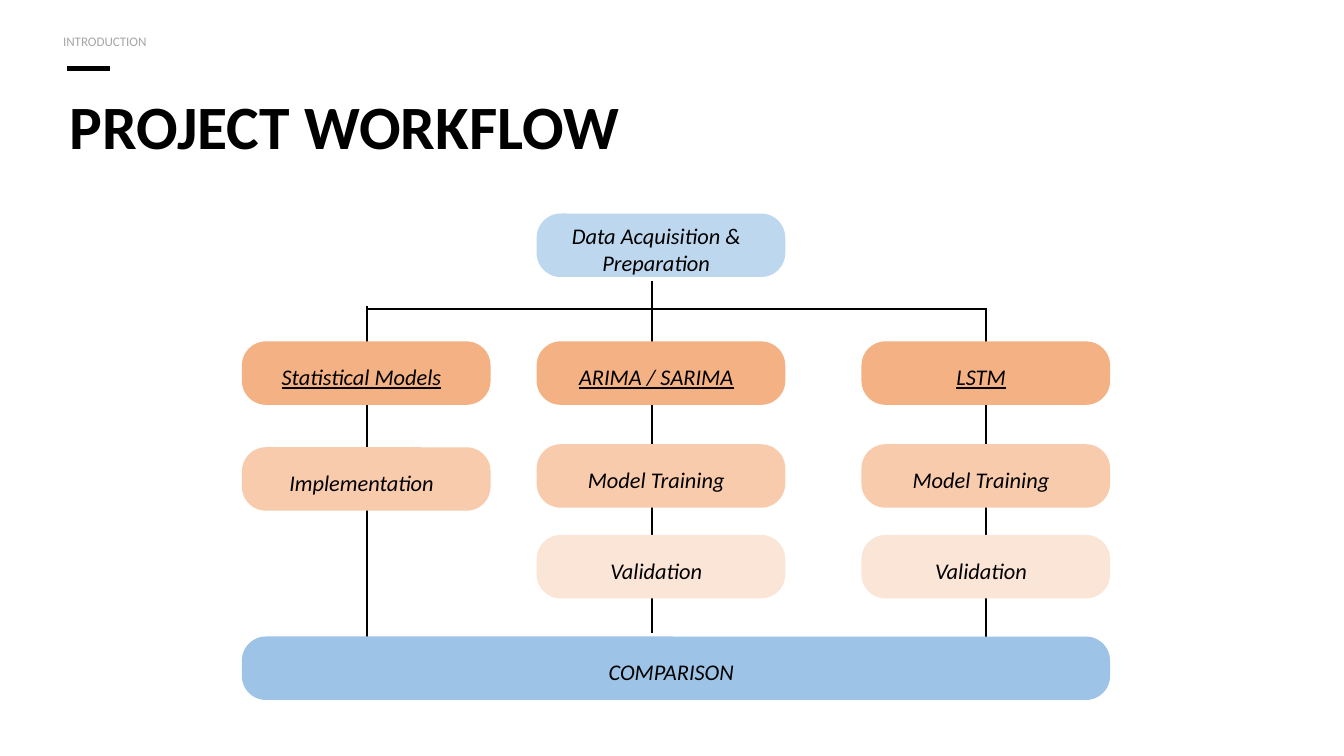
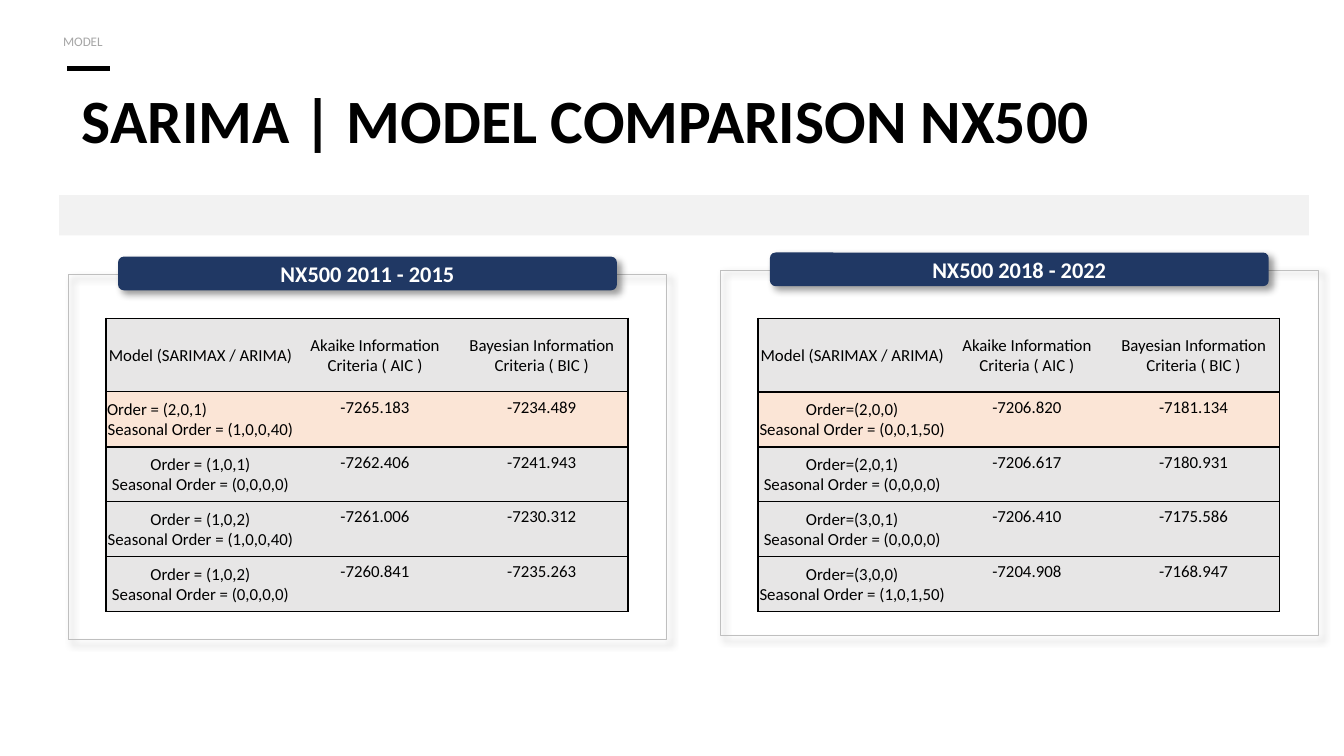
from dataclasses import dataclass

from lxml.etree import SubElement
from pptx import Presentation
from pptx.dml.color import RGBColor as Rgb
from pptx.enum.shapes import MSO_CONNECTOR as Link, MSO_SHAPE as Shape
from pptx.enum.text import MSO_ANCHOR as Anchor, MSO_AUTO_SIZE as AutoSize, PP_ALIGN as Align
from pptx.oxml.ns import qn
from pptx.util import Pt


@dataclass(frozen=True)
class Theme:
    font: str = "Calibri"
    ink: str = "000000"
    muted: str = "A6A6A6"
    white: str = "FFFFFF"
    source: str = "BDD7EE"
    family: str = "F4B183"
    step: str = "F8CBAD"
    check: str = "FBE5D6"
    result: str = "9DC3E6"
    band: str = "F2F2F2"
    frame: str = "BFBFBF"
    navy: str = "203864"
    cell: str = "E7E6E6"
    title_size: float = 33
    label_size: float = 12
    table_size: float = 9
    section_size: float = 7


THEME = Theme()

WORKFLOW = {
    "section": "INTRODUCTION",
    "title": "PROJECT WORKFLOW",
    "title_at": (30, 53.3, 664, 65),
}
START = ["Data Acquisition &", "Preparation"]
FINISH = ["COMPARISON"]
BRANCHES = [
    {"left": 129.6, "axis": 196.5, "span": (164.2, 345.6),
     "cards": [("Statistical Models", 182.9, THEME.family), ("Implementation", 239.6, THEME.step)]},
    {"left": 287.5, "axis": 349.2, "span": (150.5, 339),
     "cards": [("ARIMA / SARIMA", 182.9, THEME.family), ("Model Training", 238, THEME.step),
               ("Validation", 286.6, THEME.check)]},
    {"left": 461.5, "axis": 528.2, "span": (164.9, 345.6),
     "cards": [("LSTM", 182.9, THEME.family), ("Model Training", 238, THEME.step),
               ("Validation", 286.6, THEME.check)]},
]
CARD_WIDTH, CARD_HEIGHT = 133.2, 34
START_TOP, CROSSBAR_Y, FINISH_TOP = 114.4, 165.6, 341

COMPARISON = {
    "section": "MODEL",
    "title": "SARIMA | MODEL COMPARISON NX500",
    "title_at": (36.7, 49.7, 664, 36),
}
HEADINGS = ["Model (SARIMAX / ARIMA)", "Akaike Information Criteria ( AIC )",
            "Bayesian Information Criteria ( BIC )"]
PERIODS = [
    {"name": "NX500 2011 - 2015", "top": 146.9, "header_rule": 0.5, "best_align": Align.LEFT,
     "models": [
         ("Order = (2,0,1)", "Seasonal Order = (1,0,0,40)", "-7265.183", "-7234.489"),
         ("Order = (1,0,1)", "Seasonal Order = (0,0,0,0)", "-7262.406", "-7241.943"),
         ("Order = (1,0,2)", "Seasonal Order = (1,0,0,40)", "-7261.006", "-7230.312"),
         ("Order = (1,0,2)", "Seasonal Order = (0,0,0,0)", "-7260.841", "-7235.263"),
     ]},
    {"name": "NX500 2018 - 2022", "top": 144.7, "header_rule": 1, "best_align": Align.CENTER,
     "models": [
         ("Order=(2,0,0)", "Seasonal Order = (0,0,1,50)", "-7206.820", "-7181.134"),
         ("Order=(2,0,1)", "Seasonal Order = (0,0,0,0)", "-7206.617", "-7180.931"),
         ("Order=(3,0,1)", "Seasonal Order = (0,0,0,0)", "-7206.410", "-7175.586"),
         ("Order=(3,0,0)", "Seasonal Order = (1,0,1,50)", "-7204.908", "-7168.947"),
     ]},
]
PANEL_LEFT, PANEL_PITCH = 36.7, 349.2
COLUMN_WIDTHS = [100.8, 86.4, 92.2]
HEADER_HEIGHT, MODEL_HEIGHT = 39.4, 29.4


def points(values):
    return [Pt(value) for value in values]


def color(code):
    return Rgb.from_string(code)


def write(frame, lines, size, ink, align=Align.CENTER, **style):
    for index, line in enumerate(lines):
        para = frame.paragraphs[0] if index == 0 else frame.add_paragraph()
        para.alignment = align
        span = para.add_run()
        span.text = line
        font = span.font
        font.name, font.size = THEME.font, Pt(size)
        font.color.rgb = color(ink)
        for name, value in style.items():
            setattr(font, name, value)


def set_margins(target, left, top, right, bottom):
    target.margin_left, target.margin_top = Pt(left), Pt(top)
    target.margin_right, target.margin_bottom = Pt(right), Pt(bottom)


def add_line(page, start, end, width):
    line = page.shapes.add_connector(Link.STRAIGHT, *points(start + end))
    line.line.color.rgb = color(THEME.ink)
    line.line.width = Pt(width)
    SubElement(line._element.spPr, qn("a:effectLst"))


def add_block(page, kind, at, fill=None, outline=None):
    block = page.shapes.add_shape(kind, *points(at))
    block.shadow.inherit = False
    if fill:
        block.fill.solid()
        block.fill.fore_color.rgb = color(fill)
    else:
        block.fill.background()
    if outline:
        block.line.color.rgb = color(outline)
        block.line.width = Pt(0.5)
    else:
        block.line.fill.background()
    return block


def cast_shadow(block):
    effects = block._element.spPr.find(qn("a:effectLst"))
    shadow = SubElement(effects, qn("a:outerShdw"), blurRad=str(Pt(4)), dist=str(Pt(3)),
                        dir="2700000", algn="tl", rotWithShape="0")
    tint = SubElement(shadow, qn("a:srgbClr"), val=THEME.ink)
    SubElement(tint, qn("a:alpha"), val="40000")


def add_page(deck, content):
    page = deck.slides.add_slide(deck.slide_layouts[5])
    add_line(page, (36, 36.7), (59, 36.7), 2.25)
    title = page.shapes.title
    title.left, title.top, title.width, title.height = points(content["title_at"])
    frame = title.text_frame
    frame.auto_size, frame.word_wrap = AutoSize.NONE, True
    frame.vertical_anchor = Anchor.TOP
    set_margins(frame, 7.2, 3.6, 7.2, 3.6)
    write(frame, [content["title"]], THEME.title_size, THEME.ink, Align.LEFT, bold=True)
    frame.paragraphs[0].line_spacing = Pt(30)
    frame.paragraphs[0].space_before = Pt(0)

    section = page.shapes.add_textbox(*points((30.2, 13, 325.4, 16.6))).text_frame
    section.word_wrap = True
    set_margins(section, 3.6, 3.6, 3.6, 3.6)
    write(section, [content["section"]], THEME.section_size, THEME.muted, Align.LEFT)
    section.paragraphs[0].line_spacing = Pt(10)
    return page


def add_card(page, lines, left, top, fill, width=CARD_WIDTH, underline=False):
    card = add_block(page, Shape.ROUNDED_RECTANGLE, (left, top, width, CARD_HEIGHT), fill)
    card.adjustments[0] = 0.38
    frame = card.text_frame
    frame.word_wrap = True
    frame.vertical_anchor = Anchor.MIDDLE
    set_margins(frame, 0, 4, 5, 0)
    write(frame, lines, THEME.label_size, THEME.ink, italic=True, underline=underline)


def build_workflow(deck):
    page = add_page(deck, WORKFLOW)
    first, middle, last = BRANCHES
    for branch in BRANCHES:
        top, bottom = branch["span"]
        add_line(page, (branch["axis"], top), (branch["axis"], bottom), 1)
    add_line(page, (first["axis"], CROSSBAR_Y), (last["axis"], CROSSBAR_Y), 1)
    add_card(page, START, middle["left"], START_TOP, THEME.source)
    for branch in BRANCHES:
        for label, top, fill in branch["cards"]:
            add_card(page, [label], branch["left"], top, fill, underline=fill == THEME.family)
    full_width = last["left"] + CARD_WIDTH - first["left"]
    add_card(page, FINISH, first["left"], FINISH_TOP, THEME.result, full_width)


def set_borders(cell, **widths):
    properties = cell._tc.get_or_add_tcPr()
    for side in "LRTB":
        width = widths.get(side, 0)
        border = SubElement(properties, qn(f"a:ln{side}"), w=str(Pt(width)))
        if width:
            SubElement(SubElement(border, qn("a:solidFill")), qn("a:srgbClr"), val=THEME.ink)
        else:
            SubElement(border, qn("a:noFill"))


def add_scores(page, period, left):
    models = period["models"]
    rows = [[[heading] for heading in HEADINGS]]
    rows += [[[order, seasonal], [aic], [bic]] for order, seasonal, aic, bic in models]
    heights = [HEADER_HEIGHT] + [MODEL_HEIGHT] * len(models)
    at = (left, 170.6, sum(COLUMN_WIDTHS), sum(heights))
    table = page.shapes.add_table(len(rows), len(HEADINGS), *points(at)).table
    table.first_row = table.horz_banding = False
    for column, width in zip(table.columns, COLUMN_WIDTHS):
        column.width = Pt(width)
    rules = [1, period["header_rule"]] + [1] * len(models)
    for r, texts in enumerate(rows):
        table.rows[r].height = Pt(heights[r])
        for c, lines in enumerate(texts):
            cell = table.cell(r, c)
            set_borders(cell, L=int(c == 0), R=int(c == len(texts) - 1), T=rules[r], B=rules[r + 1])
            cell.fill.solid()
            cell.fill.fore_color.rgb = color(THEME.check if r == 1 else THEME.cell)
            if r == 0 or c == 0:
                cell.vertical_anchor = Anchor.MIDDLE
                set_margins(cell, 0.5, 0.7, 0.5, 0)
            else:
                cell.vertical_anchor = Anchor.TOP
                set_margins(cell, 5, 2.9, 5, 2.9)
            write(cell.text_frame, lines, THEME.table_size, THEME.ink)
    table.cell(1, 0).text_frame.paragraphs[0].alignment = period["best_align"]


def build_comparison(deck):
    page = add_page(deck, COMPARISON)
    add_block(page, Shape.RECTANGLE, (31.7, 104.6, 669.6, 21.6), THEME.band)
    for index, period in enumerate(PERIODS):
        left, top = PANEL_LEFT + index * PANEL_PITCH, period["top"]
        panel = add_block(page, Shape.RECTANGLE, (left, top, 320.4, 196), outline=THEME.frame)
        tab = add_block(page, Shape.ROUNDED_RECTANGLE, (left + 26.6, top - 9.4, 267.2, 18), THEME.navy)
        cast_shadow(panel)
        cast_shadow(tab)
        frame = tab.text_frame
        frame.vertical_anchor = Anchor.MIDDLE
        set_margins(frame, 7.2, 0, 7.2, 0)
        write(frame, [period["name"]], THEME.label_size, THEME.white, bold=True)
        add_scores(page, period, left + 20.2)


def main():
    deck = Presentation()
    deck.slide_width, deck.slide_height = Pt(720), Pt(405)
    build_workflow(deck)
    build_comparison(deck)
    deck.save("out.pptx")


if __name__ == "__main__":
    main()
